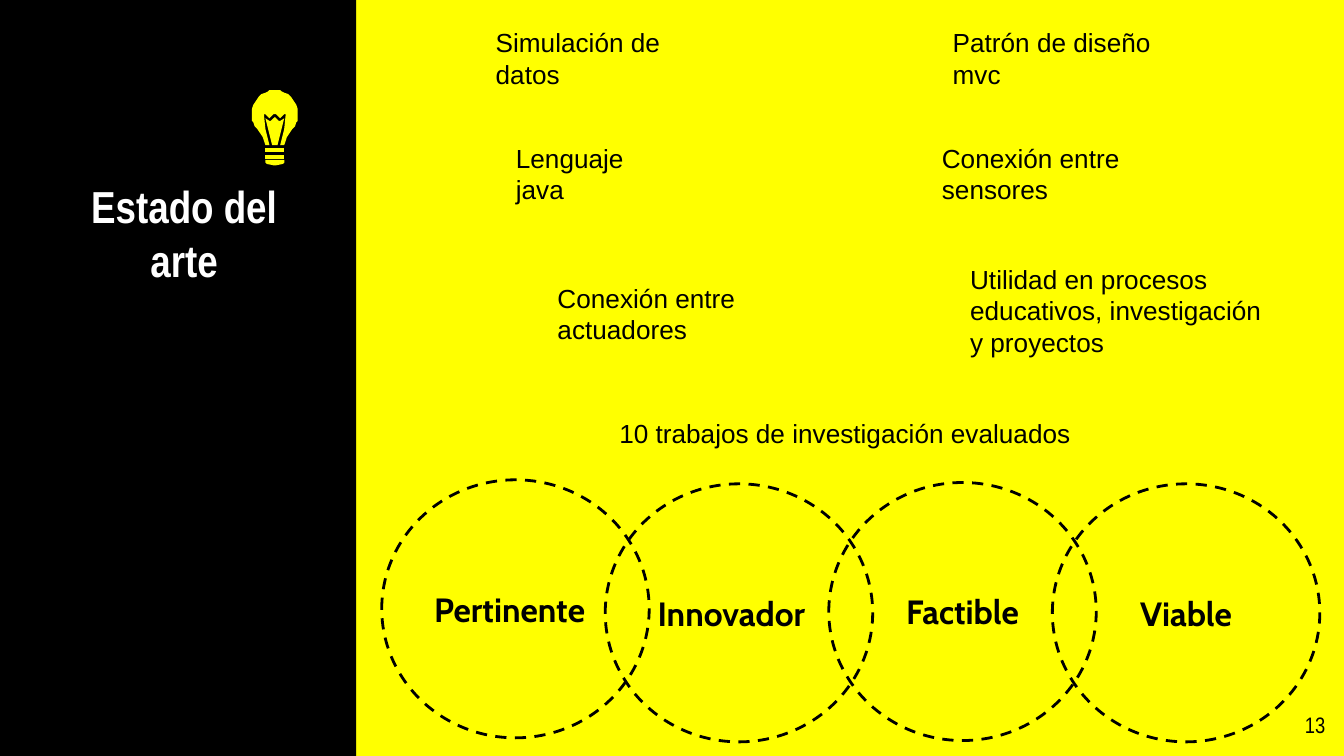
from pptx import Presentation
from pptx.dml.color import RGBColor
from pptx.enum.dml import MSO_LINE
from pptx.enum.shapes import MSO_SHAPE
from pptx.enum.text import MSO_ANCHOR, MSO_AUTO_SIZE, PP_ALIGN
from pptx.util import Inches, Pt

COLORS = {"black": "000000", "yellow": "FFFF00", "white": "FFFFFF"}
COLS, ROWS = 100, 56.25  # square grid cells
CELL = Inches(10) / COLS

TOPICS = [
    ("Simulación de datos", (35.9, 1.5, 15, 5.7)),
    ("Patrón de diseño mvc", (69.9, 1.5, 17.8, 7.7)),
    ("Lenguaje java", (37.4, 10.1, 11.6, 5.7)),
    ("Conexión entre sensores", (69.1, 10.1, 17, 5.7)),
    ("Conexión entre actuadores", (40.5, 20.5, 16.7, 5.7)),
    ("Utilidad en procesos educativos, investigación y proyectos",
     (71.2, 19.1, 24.4, 8.1)),
    ("10 trabajos de investigación evaluados", (45.1, 30.6, 38.4, 3.4)),
]
# Label, drop below the top of the row, alignment
RINGS = [
    ("Pertinente", 0, PP_ALIGN.LEFT),
    ("Innovador", 0.3, PP_ALIGN.LEFT),
    ("Factible", 0.2, PP_ALIGN.CENTER),
    ("Viable", 0.3, PP_ALIGN.CENTER),
]
# Left halves of the bulb's parts: distance from its axis, depth from its top
BULB = {
    "glass": [(0, 0), (2, 0), (4, 0), (5, 1), (7, 2), (10, 3), (12, 5), (14, 8),
              (16, 11), (17, 14), (17, 19), (17, 23), (16, 24), (15, 27),
              (13, 29), (11, 32), (9, 35), (8, 38), (7, 41), (4, 41), (7, 29),
              (8, 19), (8, 18), (7, 18), (4, 21), (1, 18), (0, 18)],
    "wire": [(0, 20), (3, 23), (4, 23), (7, 21), (2, 41)],
    "band": [(7, 43), (7, 46)],
    "ring": [(7, 48), (7, 51)],
    "foot": [(7, 52), (7, 54), (6, 55), (1, 56)],
}
BULB_DEPTH = 56


def color(name):
    return RGBColor.from_string(COLORS[name])


def place(box):
    return [round(part * CELL) for part in box]


def write(shape, text, font, size, tint="black", bold=False,
          align=PP_ALIGN.LEFT, anchor=MSO_ANCHOR.TOP, inset=0.1):
    frame = shape.text_frame
    frame.text = text
    frame.word_wrap = True
    frame.auto_size = MSO_AUTO_SIZE.NONE
    frame.vertical_anchor = anchor
    frame.margin_left = frame.margin_right = Inches(0.1)
    frame.margin_top = frame.margin_bottom = Inches(inset)
    line = frame.paragraphs[0]
    line.alignment = align
    line.font.name, line.font.size, line.font.bold = font, Pt(size), bold
    line.font.color.rgb = color(tint)


def draw_bulb(slide, box):
    """Mirror each half outline about the middle of the box."""
    left, top, width, height = place(box)
    group = slide.shapes.add_group_shape()
    for half in BULB.values():
        points = [(-x, y) for x, y in half] + half[::-1]
        pen = group.shapes.build_freeform(*points[0], scale=height / BULB_DEPTH)
        pen.add_line_segments(points[1:], close=True)
        part = pen.convert_to_shape(left + width // 2, top)
        part.shadow.inherit = False
        part.fill.solid()
        part.fill.fore_color.rgb = color("yellow")
        part.line.fill.background()


def draw_panel(slide, box):
    x, y, width, height = box
    panel = slide.shapes.add_shape(MSO_SHAPE.RECTANGLE, *place(box))
    panel.shadow.inherit = False
    panel.fill.solid()
    panel.fill.fore_color.rgb = color("black")
    panel.line.fill.background()
    slide.shapes._spTree.insert(2, panel._element)  # behind the title

    title = slide.shapes.title
    title.left, title.top, title.width, title.height = place(
        (x + 4.4, y + 12.3, 18.6, 16.2))
    write(title, "Estado del arte", "Arial Narrow", 24, "white", True,
          PP_ALIGN.CENTER)
    draw_bulb(slide, (x + 18.7, y + 6.7, 3.5, 5.6))


def draw_topics(slide):
    for text, box in TOPICS:
        label = slide.shapes.add_textbox(*place(box))
        write(label, text, "Arial", 14, inset=0.05)


def draw_rings(slide, box):
    x, y, width, height = box
    size = 19.9
    step = (width - size) / (len(RINGS) - 1)
    for index, (text, drop, align) in enumerate(RINGS):
        ring = slide.shapes.add_shape(
            MSO_SHAPE.OVAL, *place((x + index * step, y + drop, size, height)))
        ring.shadow.inherit = False
        ring.fill.background()
        ring.line.color.rgb = color("black")
        ring.line.width = Pt(1.5)
        ring.line.dash_style = MSO_LINE.DASH
        write(ring, text, "Cabin", 18, bold=True, align=align,
              anchor=MSO_ANCHOR.MIDDLE)


def draw_number(slide, box):
    number = slide.shapes.add_textbox(*place(box))
    write(number, "13", "Arial Narrow", 12, align=PP_ALIGN.RIGHT)


def main():
    deck = Presentation()
    deck.slide_width, deck.slide_height = place((COLS, ROWS))
    slide = deck.slides.add_slide(deck.slide_layouts[5])
    slide.background.fill.solid()
    slide.background.fill.fore_color.rgb = color("yellow")
    draw_panel(slide, (0, 0, 26.5, ROWS))
    draw_topics(slide)
    draw_rings(slide, (28.4, 35.7, 69.8, 19.2))
    draw_number(slide, (93.6, 51.9, 6, 4.3))
    deck.save("out.pptx")


if __name__ == "__main__":
    main()
